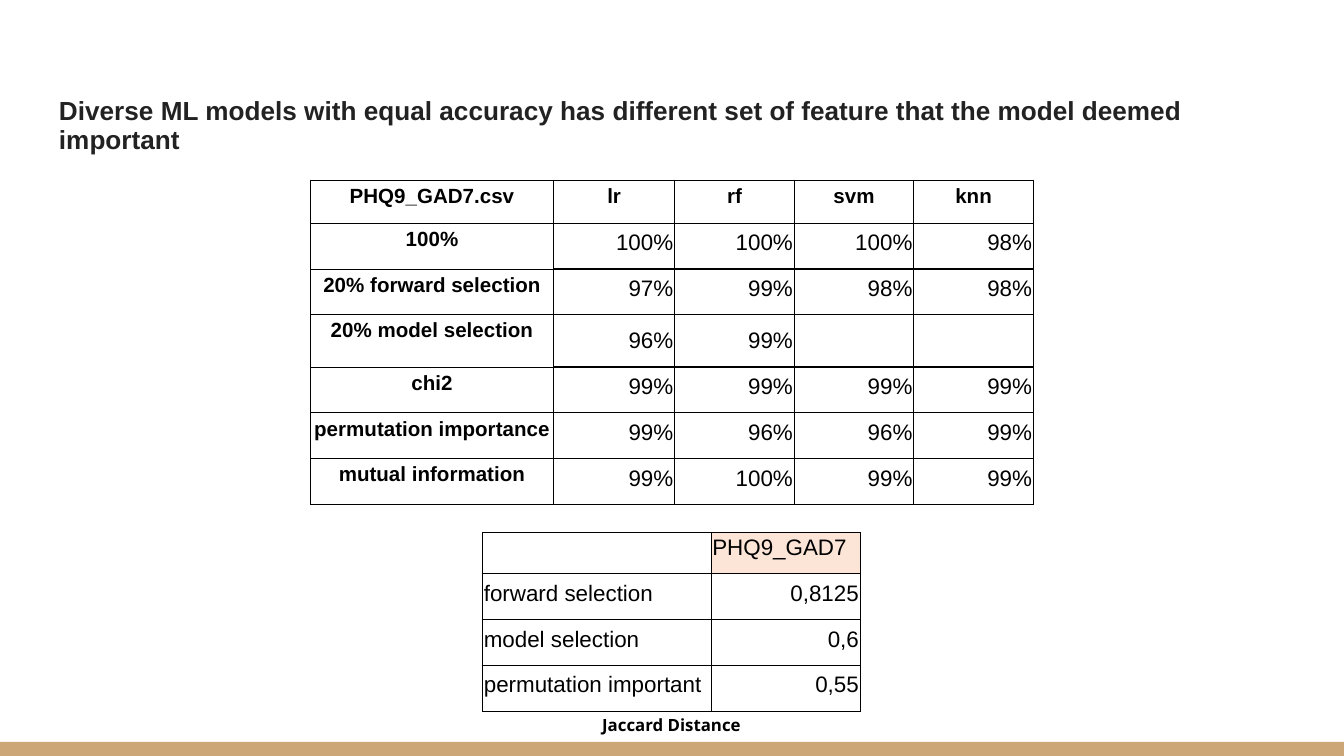
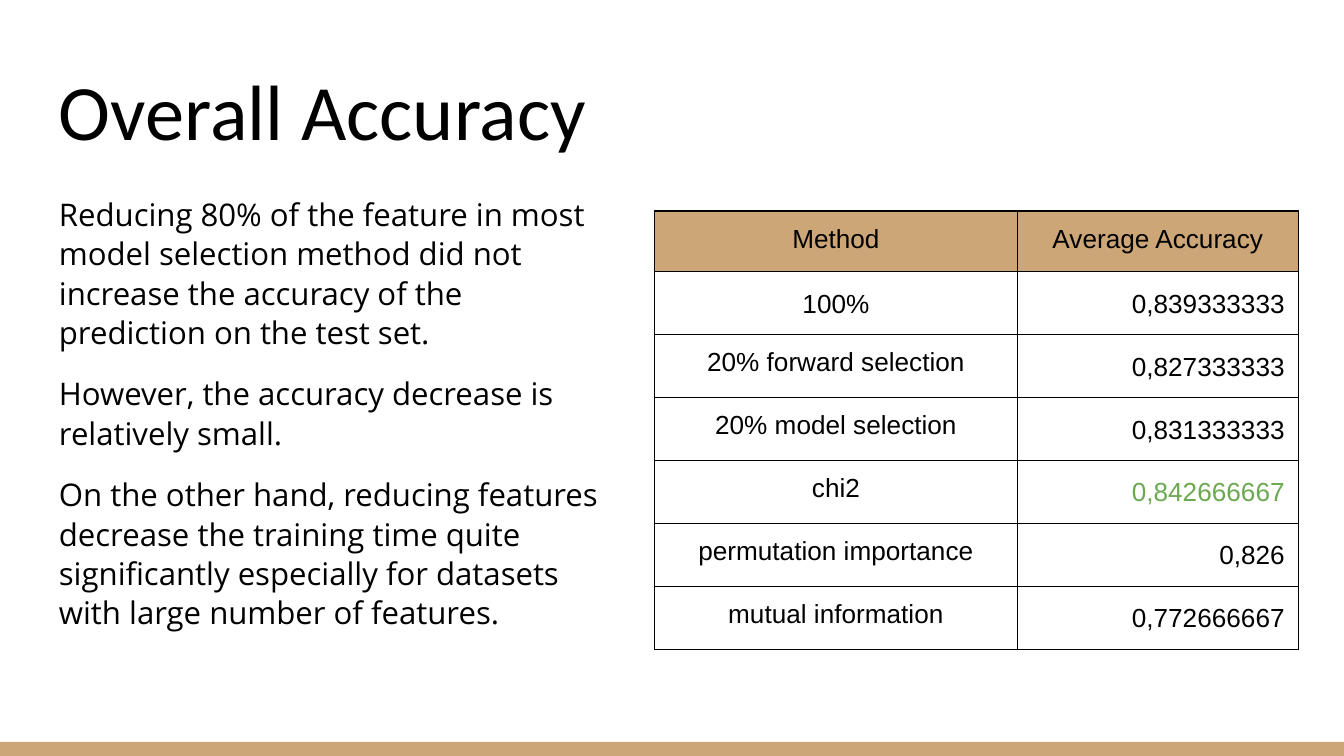
from dataclasses import dataclass, replace
from typing import NamedTuple

from lxml import etree
from pptx import Presentation
from pptx import util as u
from pptx.dml.color import RGBColor
from pptx.enum import shapes, text
from pptx.oxml import ns

Inches = u.Inches
LEFT, CENTER, RIGHT = text.PP_ALIGN.LEFT, text.PP_ALIGN.CENTER, text.PP_ALIGN.RIGHT
TOP, BOTTOM = text.MSO_ANCHOR.TOP, text.MSO_ANCHOR.BOTTOM
COLORS = {
    "sand": "CCA677",
    "peach": "FCE4D6",
    "ink": "000000",
    "title": "222222",
    "best": "6AA94F",
}


class Area(NamedTuple):
    left: float
    top: float
    width: float
    height: float


@dataclass(frozen=True)
class TextStyle:
    size: float
    font: str = "Arial"
    color: str = "ink"
    bold: bool = False
    align: text.PP_ALIGN = LEFT
    spacing: float = 1.0
    before: float = 0
    after: float = 0


@dataclass(frozen=True)
class CellStyle:
    text: TextStyle
    anchor: text.MSO_ANCHOR = TOP
    margin: float = 0.01
    border: float = 0.75
    fill: str | None = None


class Cell(NamedTuple):
    text: str
    style: CellStyle


TITLE_AREA = Area(0.34, 0.35, 9.32, 0.91)
BOTTOM_MARGIN = 0.1

LABEL = CellStyle(TextStyle(11, bold=True, align=CENTER, spacing=1.15), border=0.5)
SCORE = CellStyle(TextStyle(12, align=RIGHT, spacing=1.15), anchor=BOTTOM)
DISTANCE = replace(SCORE, border=0.5)
DISTANCE_LABEL = replace(DISTANCE, text=TextStyle(12))
DISTANCE_HEADER = replace(DISTANCE_LABEL, fill="peach")
METHOD = CellStyle(TextStyle(14, align=CENTER), margin=0.1)
METHOD_HEADER = replace(METHOD, fill="sand")
METHOD_BASELINE = replace(METHOD, text=replace(METHOD.text, spacing=1.15))
AVERAGE = replace(METHOD, text=TextStyle(14, align=RIGHT, spacing=1.15))
AVERAGE_BEST = replace(AVERAGE, text=replace(AVERAGE.text, color="best"))

MODEL_SCORES = [
    ("PHQ9_GAD7.csv", "lr", "rf", "svm", "knn"),
    ("100%", "100%", "100%", "100%", "98%"),
    ("20% forward selection", "97%", "99%", "98%", "98%"),
    ("20% model selection", "96%", "99%", "", ""),
    ("chi2", "99%", "99%", "99%", "99%"),
    ("permutation importance", "99%", "96%", "96%", "99%"),
    ("mutual information", "99%", "100%", "99%", "99%"),
]
DISTANCES = [
    ("forward selection", "0,8125"),
    ("model selection", "0,6"),
    ("permutation important", "0,55"),
]
AVERAGES = [
    ("100%", "0,839333333"),
    ("20% forward selection", "0,827333333"),
    ("20% model selection", "0,831333333"),
    ("chi2", "0,842666667"),
    ("permutation importance", "0,826"),
    ("mutual information", "0,772666667"),
]
FINDINGS = [
    "Reducing 80% of the feature in most model selection method did not increase "
    "the accuracy of the prediction on the test set.",
    "However, the accuracy decrease is relatively small.",
    "On the other hand, reducing features decrease the training time quite "
    "significantly especially for datasets with large number of features.",
]


def rgb(name: str) -> RGBColor:
    return RGBColor.from_string(COLORS[name])


def write(para, words: str, style: TextStyle) -> None:
    """Fill one paragraph; its end mark gets the same size, so line heights agree."""
    para.alignment = style.align
    para.line_spacing = style.spacing
    para.space_before = u.Pt(style.before)
    para.space_after = u.Pt(style.after)
    font = para.font
    font.name, font.size, font.bold = style.font, u.Pt(style.size), style.bold
    font.color.rgb = rgb(style.color)
    if words:
        para.add_run().text = words
    etree.SubElement(para._p, ns.qn("a:endParaRPr"), sz=str(round(style.size * 100)))


def add_text(page, area: Area, paragraphs: list[str], style: TextStyle,
             anchor: text.MSO_ANCHOR = TOP) -> None:
    frame = page.shapes.add_textbox(*map(Inches, area)).text_frame
    frame.word_wrap = True
    frame.vertical_anchor = anchor
    frame.margin_left = frame.margin_right = Inches(0.1)
    frame.margin_top = frame.margin_bottom = Inches(0.1)
    for index, words in enumerate(paragraphs):
        para = frame.add_paragraph() if index else frame.paragraphs[0]
        write(para, words, style if index else replace(style, before=0))


def set_borders(cell, points: float) -> None:
    properties = cell._tc.get_or_add_tcPr()
    for side in ("lnL", "lnR", "lnT", "lnB"):
        line = etree.SubElement(properties, ns.qn(f"a:{side}"), w=str(u.Pt(points)))
        fill = etree.SubElement(line, ns.qn("a:solidFill"))
        etree.SubElement(fill, ns.qn("a:srgbClr"), val=COLORS["ink"])


def fill_cell(cell, content: Cell) -> None:
    style = content.style
    set_borders(cell, style.border)
    if style.fill:
        cell.fill.solid()
        cell.fill.fore_color.rgb = rgb(style.fill)
    else:
        cell.fill.background()
    cell.vertical_anchor = style.anchor
    cell.margin_left = cell.margin_right = cell.margin_top = Inches(style.margin)
    cell.margin_bottom = Inches(BOTTOM_MARGIN)
    write(cell.text_frame.paragraphs[0], content.text, style.text)


def add_grid(page, left: float, top: float, widths: list[float],
             heights: list[float], rows: list[list[Cell]]) -> None:
    area = Area(left, top, sum(widths), sum(heights))
    table = page.shapes.add_table(len(rows), len(widths), *map(Inches, area)).table
    table.first_row = table.horz_banding = False
    for column, width in zip(table.columns, widths):
        column.width = Inches(width)
    for row, height, contents in zip(table.rows, heights, rows):
        row.height = Inches(height)
        for cell, content in zip(row.cells, contents):
            fill_cell(cell, content)


def add_page(deck, title: str, style: TextStyle):
    """Add a blank slide with the bottom band and the title."""
    page = deck.slides.add_slide(deck.slide_layouts[6])
    band = page.shapes.add_shape(
        shapes.MSO_SHAPE.RECTANGLE, *map(Inches, Area(0, 5.52, 10, 0.11)))
    band.shadow.inherit = False
    band.fill.solid()
    band.fill.fore_color.rgb = rgb("sand")
    band.line.fill.background()
    add_text(page, TITLE_AREA, [title], style, BOTTOM)
    return page


def build_models_page(deck) -> None:
    page = add_page(
        deck,
        "Diverse ML models with equal accuracy has different set of feature "
        "that the model deemed important",
        TextStyle(14, color="title", bold=True, spacing=0.95, after=12))

    distances = [[Cell("", DISTANCE_LABEL), Cell("PHQ9_GAD7", DISTANCE_HEADER)]]
    distances += [[Cell(name, DISTANCE_LABEL), Cell(value, DISTANCE)]
                  for name, value in DISTANCES]
    add_grid(page, 3.59, 3.96, [1.7, 1.11], [0.3] + [0.32] * 3, distances)

    scores = [[Cell(words, SCORE if row and column else LABEL)
               for column, words in enumerate(line)]
              for row, line in enumerate(MODEL_SCORES)]
    heights = [0.31, 0.32, 0.32, 0.39] + [0.32] * 3
    add_grid(page, 2.31, 1.34, [1.81, 0.9, 0.89, 0.89, 0.89], heights, scores)

    add_text(page, Area(3.59, 5.21, 2.81, 0.41), ["Jaccard Distance"],
             TextStyle(9, "Open Sans", bold=True, align=CENTER, spacing=1.15, after=12))


def build_accuracy_page(deck) -> None:
    page = add_page(deck, "Overall Accuracy", TextStyle(42, "Calibri"))
    best = max(value for _, value in AVERAGES)
    rows = [[Cell(name, METHOD_HEADER) for name in ("Method", "Average Accuracy")]]
    for name, value in AVERAGES:
        rows.append([Cell(name, METHOD_BASELINE if name == "100%" else METHOD),
                     Cell(value, AVERAGE_BEST if value == best else AVERAGE)])
    add_grid(page, 4.87, 1.57, [2.7, 2.09], [0.45] * len(rows), rows)
    add_text(page, Area(0.34, 1.34, 4.32, 3.67), FINDINGS,
             TextStyle(16.7, "Open Sans", spacing=1.05, before=12))


def main() -> None:
    deck = Presentation()
    deck.slide_width = Inches(10)
    deck.slide_height = deck.slide_width * 9 // 16
    build_models_page(deck)
    build_accuracy_page(deck)
    deck.save("out.pptx")


if __name__ == "__main__":
    main()
